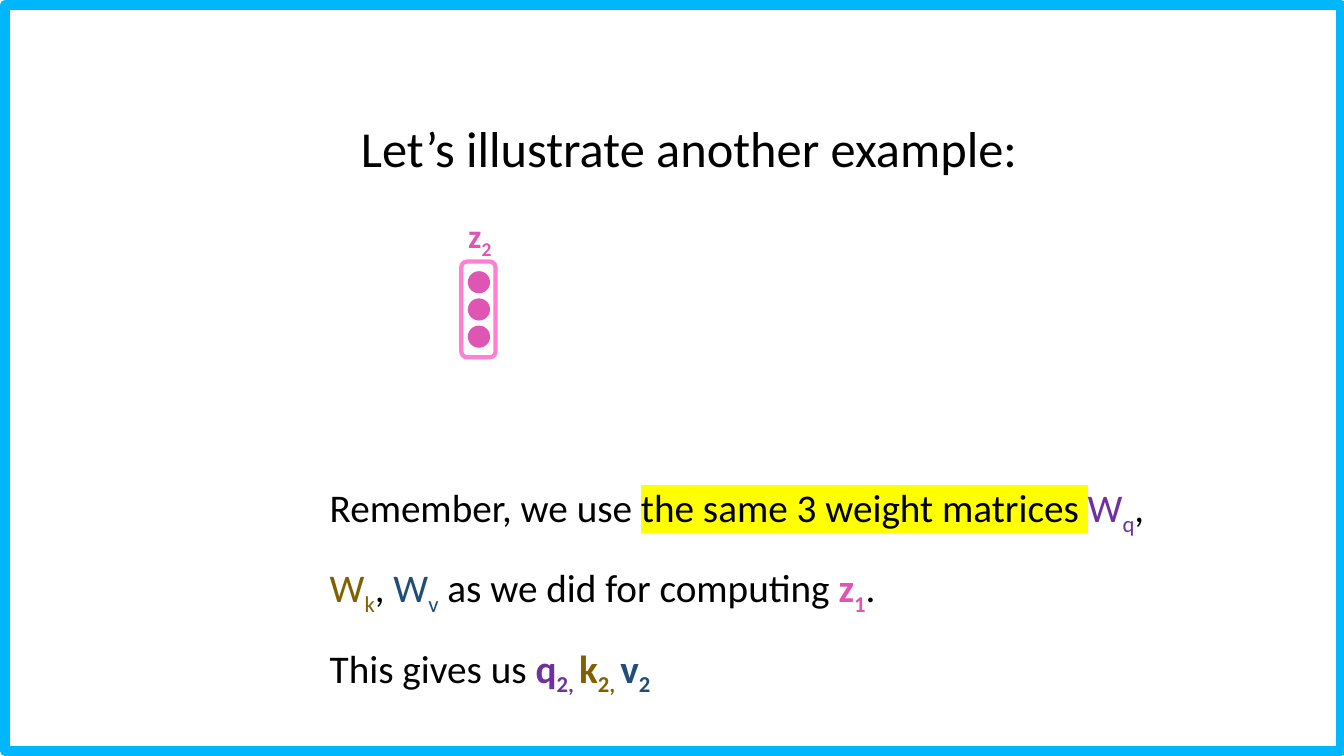
"""Slide introducing the second self-attention example, z2."""
from dataclasses import dataclass
from typing import Optional

from lxml import etree
from pptx import Presentation
from pptx.dml.color import RGBColor
from pptx.enum.shapes import MSO_SHAPE
from pptx.enum.text import MSO_ANCHOR, MSO_AUTO_SIZE, PP_ALIGN
from pptx.oxml.ns import qn
from pptx.util import Inches, Pt

RECT, ROUND, OVAL = MSO_SHAPE.RECTANGLE, MSO_SHAPE.ROUNDED_RECTANGLE, MSO_SHAPE.OVAL
LEFT, CENTER = PP_ALIGN.LEFT, PP_ALIGN.CENTER
TOP = MSO_ANCHOR.TOP
NO_FIT, GROW = MSO_AUTO_SIZE.NONE, MSO_AUTO_SIZE.SHAPE_TO_FIT_TEXT

COLORS = {
    "white": "FFFFFF", "black": "000000", "frame": "00B6FC", "z": "DE55B3",
    "pill": "FF7FD3", "query": "7030A0", "key": "806000", "value": "1F4E79",
    "marker": "FFFF00",
}


@dataclass(frozen=True)
class Run:
    """A piece of text with one format."""
    text: str
    color: str = "black"
    bold: bool = False
    sub: bool = False
    marked: bool = False


@dataclass(frozen=True)
class Figure:
    """A preset shape and its place in inches."""
    kind: MSO_SHAPE
    box: tuple
    fill: Optional[str] = None
    line: Optional[str] = None
    weight: float = 0
    rotation: float = 0


def rgb(name: str) -> RGBColor:
    """Look up a named colour."""
    return RGBColor.from_string(COLORS[name])


def symbol(letter: str, index: str, color: str, bold: bool = False) -> list:
    """Return a letter and its subscript."""
    return [Run(letter, color, bold), Run(index, color, bold, sub=True)]


def draw(slide, fig: Figure):
    """Draw a figure on the slide."""
    sp = slide.shapes.add_shape(fig.kind, *map(Inches, fig.box))
    sp.shadow.inherit = False
    sp.rotation = fig.rotation
    if fig.fill:
        sp.fill.solid()
        sp.fill.fore_color.rgb = rgb(fig.fill)
    else:
        sp.fill.background()
    if fig.line:
        sp.line.color.rgb = rgb(fig.line)
        sp.line.width = Pt(fig.weight)
    else:
        sp.line.fill.background()
    return sp


def add_run(p, run: Run, size: float) -> None:
    """Append a formatted run to a paragraph."""
    r = p.add_run()
    r.text = run.text
    for name, value in {"name": "Calibri", "size": Pt(size), "bold": run.bold}.items():
        setattr(r.font, name, value)
    r.font.color.rgb = rgb(run.color)
    rpr = r._r.get_or_add_rPr()
    if run.sub:
        rpr.set("baseline", "-25000")
    if run.marked:
        mark = etree.Element(qn("a:highlight"))
        etree.SubElement(mark, qn("a:srgbClr")).set("val", COLORS["marker"])
        rpr.find(qn("a:solidFill")).addnext(mark)


def write(sp, box: tuple, paragraphs: list, size: float, spacing: float = 1.0,
          align: PP_ALIGN = LEFT, fit: MSO_AUTO_SIZE = GROW) -> None:
    """Place a text shape and fill in its paragraphs."""
    for name, value in zip(("left", "top", "width", "height"), box):
        setattr(sp, name, Inches(value))
    tf = sp.text_frame
    for name, value in {"word_wrap": True, "auto_size": fit, "vertical_anchor": TOP}.items():
        setattr(tf, name, value)
    for i, runs in enumerate(paragraphs):
        p = tf.add_paragraph() if i else tf.paragraphs[0]
        ppr = p._p.get_or_add_pPr()
        for name in ("marL", "indent"):
            ppr.set(name, "0")
        etree.SubElement(ppr, qn("a:buNone"))
        layout = {"alignment": align, "line_spacing": spacing, "space_before": Pt(0)}
        for name, value in layout.items():
            setattr(p, name, value)
        for run in runs:
            add_run(p, run, size)


def main() -> None:
    """Build and save the slide."""
    prs = Presentation()
    prs.slide_width, prs.slide_height = Inches(13.33), Inches(7.5)
    slide = prs.slides.add_slide(prs.slide_layouts[1])
    title, body = slide.placeholders

    frame = draw(slide, Figure(RECT, (0.05, 0.05, 13.25, 7.4), "white", "frame", 7))
    slide.shapes._spTree.insert(2, frame._element)

    write(title, (3.48, 1.11, 7.99, 0.71), [[Run("Let’s illustrate another example:")]], 36)

    label_box = (4.48, 1.99, 0.56, 0.55)
    label = slide.shapes.add_textbox(*map(Inches, label_box))
    write(label, label_box, [symbol("z", "2", "z", True)], 24, 1.2, CENTER, NO_FIT)

    draw(slide, Figure(ROUND, (4.27, 2.9, 0.95, 0.34), None, "pill", 3, 90))
    for i in range(3):
        draw(slide, Figure(OVAL, (4.64, 2.69 + 0.27 * i, 0.22, 0.22), "z"))

    reminder = [
        Run("Remember, we use "), Run("the same 3 weight matrices ", marked=True),
        *symbol("W", "q", "query"), Run(", "),
        *symbol("W", "k", "key"), Run(", "),
        *symbol("W", "v", "value"), Run(" as we did for computing "),
        *symbol("z", "1", "z", True), Run("."),
    ]
    result = [
        Run("This gives us "), *symbol("q", "2, ", "query", True),
        *symbol("k", "2, ", "key", True), *symbol("v", "2", "value", True),
    ]
    write(body, (3.17, 4.48, 8.52, 2.16), [reminder, result], 28, 1.5)

    prs.save("out.pptx")


if __name__ == "__main__":
    main()
